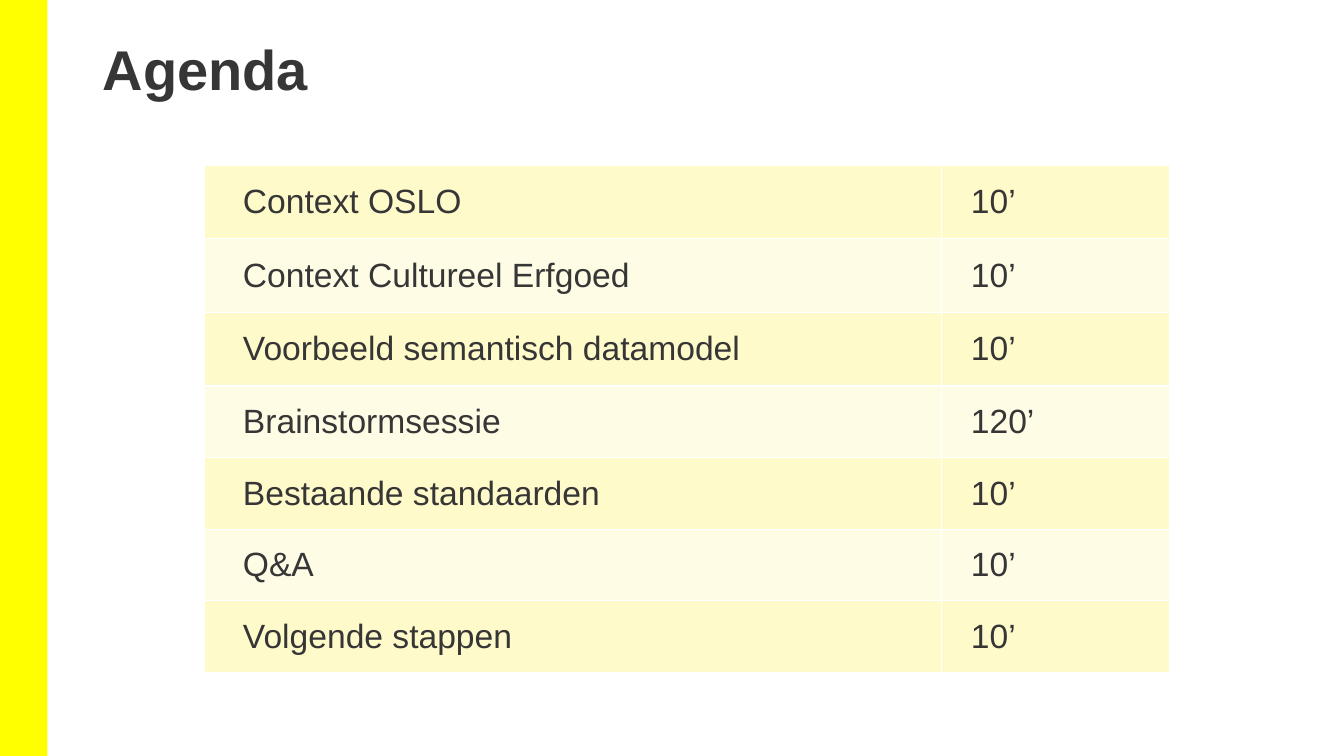
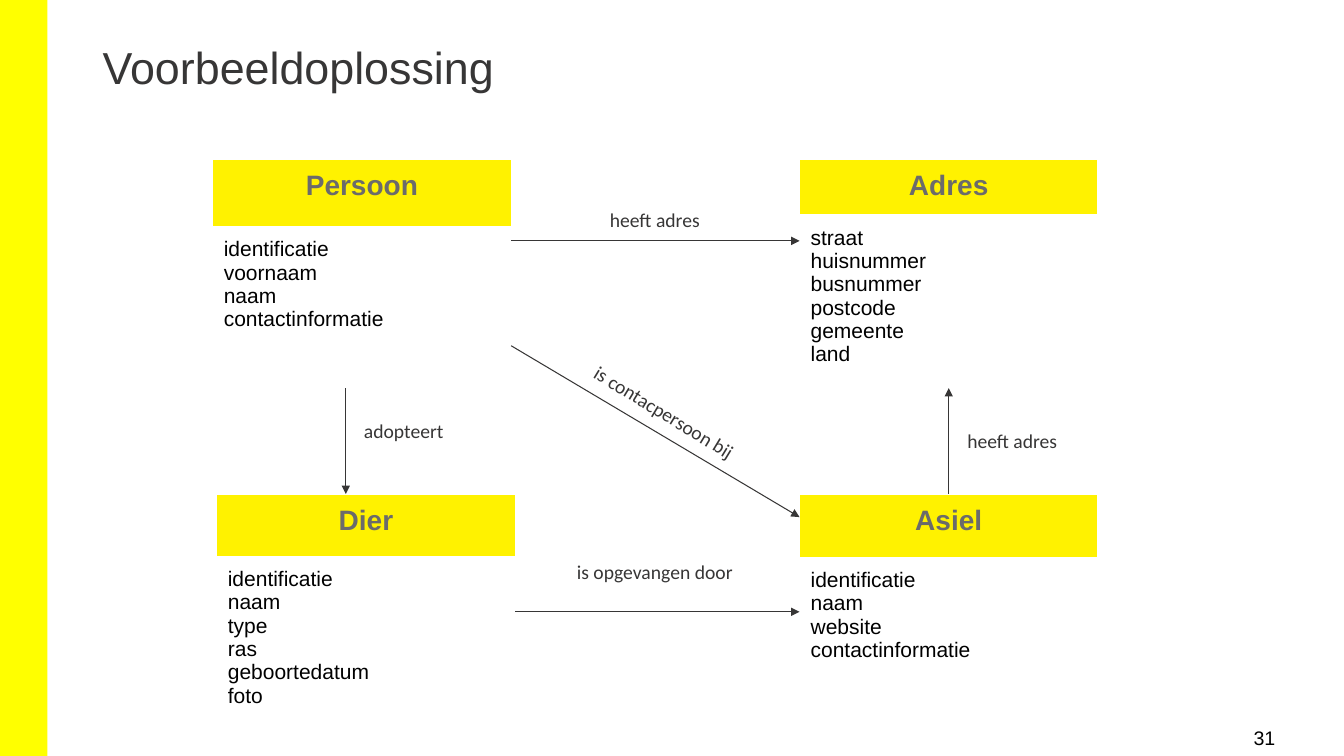
from pptx import Presentation
from pptx.dml.color import RGBColor
from pptx.enum.shapes import MSO_CONNECTOR, MSO_SHAPE
from pptx.enum.text import MSO_ANCHOR as ANCHOR, PP_ALIGN as ALIGN
from pptx.oxml import parse_xml
from pptx.oxml.ns import nsdecls
from pptx.util import Inches, Pt

BAND = RGBColor(0xFF, 0xFF, 0x00)
HEADER = RGBColor(0xFF, 0xF2, 0x00)
ROW_FILLS = RGBColor(0xFF, 0xFA, 0xCA), RGBColor(0xFF, 0xFC, 0xE6)
DARK = RGBColor(0x37, 0x36, 0x36)
GREY = RGBColor(0x6B, 0x6B, 0x6B)
BLACK = RGBColor(0, 0, 0)

SLIDE_W, SLIDE_H = 13.33, 7.5
TITLE_X = 0.92

AGENDA = [
    ("Context OSLO", "10’"),
    ("Context Cultureel Erfgoed", "10’"),
    ("Voorbeeld semantisch datamodel", "10’"),
    ("Brainstormsessie", "120’"),
    ("Bestaande standaarden", "10’"),
    ("Q&A", "10’"),
    ("Volgende stappen", "10’"),
]

# name: (x, y, height, header height, attributes), relative to the diagram
ENTITIES = {
    "Persoon": (0, 0, 2.27, 0.67, "identificatie voornaam naam contactinformatie"),
    "Adres": (5.82, 0, 2.27, 0.54,
              "straat huisnummer busnummer postcode gemeente land"),
    "Dier": (0.04, 3.32, 2.34, 0.62,
             "identificatie naam type ras geboortedatum foto"),
    "Asiel": (5.82, 3.32, 2.34, 0.63, "identificatie naam website contactinformatie"),
}
ENTITY_W = 2.96

# start, end, as a point in the diagram or as (entity, side)
ARROWS = [
    (("Dier", 3), ("Asiel", 1)),
    (("Asiel", 0), ("Adres", 2)),
    ((1.32, 2.27), (1.32, 3.32)),
    ((ENTITY_W, 0.81), (5.82, 0.81)),
    ((ENTITY_W, 1.85), (5.82, 3.55)),
]

# text, x, y, width, rotation
LABELS = [
    ("heeft adres", 3.36, 0.43, 2.05, 0),
    ("is contacpersoon bij", 3.45, 2.34, 2.05, 31.3),
    ("adopteert", 0.87, 2.53, 2.05, 0),
    ("heeft adres", 7.19, 2.63, 1.48, 0),
    ("is opgevangen door", 3.36, 3.93, 2.05, 0),
]


def write(tf, lines, color, size, name="Arial", bold=False, align=ALIGN.LEFT,
          spacing=None):
    for i, line in enumerate(lines):
        p = tf.paragraphs[0] if i == 0 else tf.add_paragraph()
        p.alignment, p.line_spacing = align, spacing
        r = p.add_run()
        r.text = line
        r.font.color.rgb = color
        for key, value in dict(size=Pt(size), name=name, bold=bold).items():
            setattr(r.font, key, value)


def add_text(s, box, text, color, size, anchor=ANCHOR.TOP, **style):
    sp = s.shapes.add_textbox(*map(Inches, box))
    tf = sp.text_frame
    tf.word_wrap, tf.vertical_anchor = True, anchor
    write(tf, [text], color, size, **style)
    return sp


def add_plain_table(s, box, col_widths, row_heights):
    """Add a table without header or banding styles."""
    frame = s.shapes.add_table(len(row_heights), len(col_widths), *map(Inches, box))
    table = frame.table
    table.first_row = table.horz_banding = False
    for col, width in zip(table.columns, col_widths):
        col.width = Inches(width)
    for row, height in zip(table.rows, row_heights):
        row.height = Inches(height)
    return frame


def set_margins(cell, left, top, right, bottom):
    for side, value in dict(left=left, top=top, right=right, bottom=bottom).items():
        setattr(cell, f"margin_{side}", Inches(value))


def add_white_borders(cell):
    tc_pr = cell._tc.get_or_add_tcPr()
    for i, side in enumerate(("lnL", "lnR", "lnT", "lnB")):
        tc_pr.insert(i, parse_xml(
            f'<a:{side} {nsdecls("a")} w="12700"><a:solidFill>'
            f'<a:srgbClr val="FFFFFF"/></a:solidFill></a:{side}>'))


def new_slide(prs):
    """Add a blank slide with the yellow band at its left."""
    s = prs.slides.add_slide(prs.slide_layouts[6])
    band = s.shapes.add_shape(MSO_SHAPE.RECTANGLE, 0, 0, Inches(0.47), Inches(SLIDE_H))
    band.shadow.inherit = False
    band.fill.solid()
    band.fill.fore_color.rgb = BAND
    band.line.fill.background()
    return s


def add_agenda(s, box):
    width = box[2]
    first = 7.31
    heights = [0.73] * 3 + [0.71] * 4
    table = add_plain_table(s, box, [first, width - first], heights).table
    for i, entry in enumerate(AGENDA):
        for j, (text, indent) in enumerate(zip(entry, (0.38, 0.29))):
            cell = table.cell(i, j)
            cell.fill.solid()
            cell.fill.fore_color.rgb = ROW_FILLS[i % 2]
            cell.vertical_anchor = ANCHOR.MIDDLE
            set_margins(cell, indent, 0.05, 0.1, 0.05)
            add_white_borders(cell)
            write(cell.text_frame, [text], DARK, 24)


def add_entity(s, box, header_h, name, attributes):
    frame = add_plain_table(s, box, [box[2]], [header_h, box[3] - header_h])
    head, body = (frame.table.cell(i, 0) for i in range(2))
    for cell in (head, body):
        set_margins(cell, *[0.11] * 4)
    head.fill.solid()
    head.fill.fore_color.rgb = HEADER
    body.fill.background()
    write(head.text_frame, [name], GREY, 20, bold=True, align=ALIGN.CENTER)
    write(body.text_frame, attributes, BLACK, 15)
    return frame


def add_arrow(s, left, top, start, end, entities):
    points = [(0, 0) if p[0] in entities else (left + p[0], top + p[1])
              for p in (start, end)]
    line = s.shapes.add_connector(
        MSO_CONNECTOR.STRAIGHT, *(Inches(v) for p in points for v in p))
    for (name, side), connect in ((start, line.begin_connect), (end, line.end_connect)):
        if name in entities:
            connect(entities[name], side)
    line.line.color.rgb = DARK
    line.line.width = Pt(0.75)
    line.line._get_or_add_ln().append(
        parse_xml(f'<a:tailEnd {nsdecls("a")} type="triangle"/>'))
    line._element.spPr.append(parse_xml(f'<a:effectLst {nsdecls("a")}/>'))


def add_diagram(s, left, top):
    entities = {}
    for name, (x, y, height, header_h, attributes) in ENTITIES.items():
        box = left + x, top + y, ENTITY_W, height
        entities[name] = add_entity(s, box, header_h, name, attributes.split())
    for start, end in ARROWS:
        add_arrow(s, left, top, start, end, entities)
    for text, x, y, width, rotation in LABELS:
        sp = add_text(s, (left + x, top + y, width, 0.34), text, DARK, 14,
                      name="Calibri", align=ALIGN.CENTER)
        sp.rotation = rotation


def agenda_slide(prs):
    s = new_slide(prs)
    add_agenda(s, (2.03, 1.64, 9.57, 5.03))
    add_text(s, (TITLE_X, 0.14, 8.82, 1.21), "Agenda", DARK, 40, ANCHOR.MIDDLE,
             bold=True, spacing=0.75)


def example_slide(prs):
    s = new_slide(prs)
    add_text(s, (TITLE_X, 0.4, 11.5, 1.08), "Voorbeeldoplossing", DARK, 32, spacing=0.9)
    add_diagram(s, 2.11, 1.58)
    number = add_text(s, (11.7, 7.17, 1, 0.29), "31", BLACK, 14, ANCHOR.MIDDLE,
                      align=ALIGN.RIGHT)
    set_margins(number.text_frame, *[0.05] * 4)


def main():
    prs = Presentation()
    prs.slide_width, prs.slide_height = Inches(SLIDE_W), Inches(SLIDE_H)
    agenda_slide(prs)
    example_slide(prs)
    prs.save("out.pptx")


if __name__ == "__main__":
    main()
